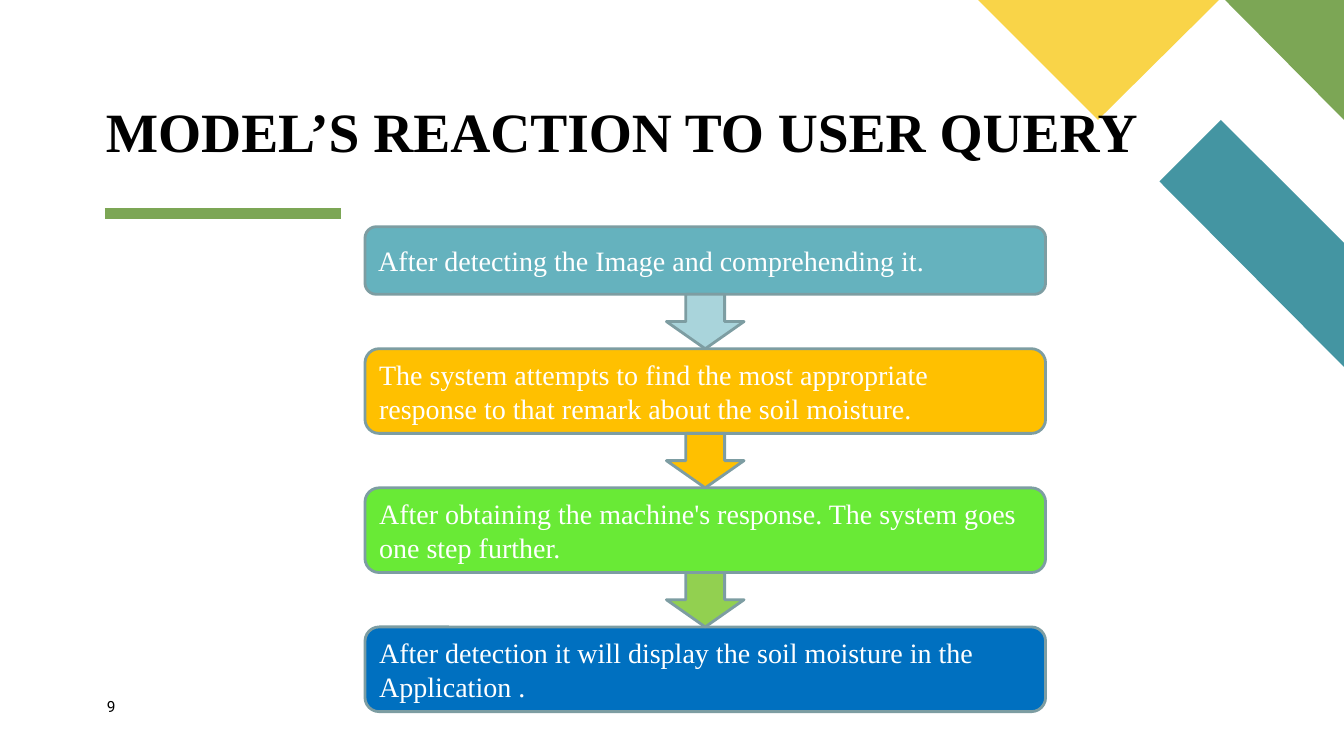
from pptx import Presentation
from pptx.dml.color import RGBColor
from pptx.enum.shapes import MSO_CONNECTOR, MSO_SHAPE
from pptx.enum.text import MSO_ANCHOR, PP_ALIGN
from pptx.util import Inches, Pt
from lxml.etree import SubElement
from pptx.oxml.ns import qn
from dataclasses import dataclass


@dataclass(frozen=True)
class Theme:
    serif: str = "Times New Roman"
    sans: str = "Roboto"
    title: float = 39.6
    body: float = 20
    small: float = 11
    black: str = "000000"
    white: str = "FFFFFF"
    green: str = "7CA655"
    teal: str = "4495A2"
    yellow: str = "F9D448"
    edge: str = "7D9DA2"


THEME = Theme()

# Text, box height, box fill, fill of the arrow below
STEPS = [
    ("After detecting the Image and comprehending it.", 0.67, "65B2BE", "A9D4DB"),
    ("The system attempts to find the most appropriate response to that "
     "remark about the soil moisture.", 0.84, "FFC000", "FFC000"),
    ("After obtaining the machine's response. The system goes one step further.",
     0.84, "69EA36", "92D050"),
    ("After detection it will display the soil moisture in the Application .",
     0.84, "0070C0", None),
]


def color(code):
    return RGBColor.from_string(code)


def paint(shape, fill, edge=None):
    shape.shadow.inherit = False
    shape.fill.solid()
    shape.fill.fore_color.rgb = color(fill)
    if edge:
        shape.line.color.rgb = color(edge)
        shape.line.width = Pt(2)
    else:
        shape.line.fill.background()


def write(frame, text, font, tint, **frame_format):
    for name, value in {"word_wrap": True, **frame_format}.items():
        setattr(frame, name, value)
    para = frame.paragraphs[0]
    para.alignment = PP_ALIGN.LEFT
    run = para.add_run()
    run.text = text
    for name, value in font.items():
        setattr(run.font, name, value)
    run.font.color.rgb = color(tint)
    return para


def add_label(slide, box, text, font, anchor):
    frame = slide.shapes.add_textbox(*map(Inches, box)).text_frame
    sides = ("left", "top", "right", "bottom")
    flat = {f"margin_{side}": 0 for side in sides}
    return write(frame, text, font, THEME.black, vertical_anchor=anchor, **flat)


def add_corner(slide, right):
    """Colored cut-outs in the top corner, measured back from the right edge."""
    cuts = [
        (THEME.teal, [(0, 3.64), (0, 2.41), (1.22, 1.19), (1.83, 1.8)]),
        (THEME.green, [(0, 1.19), (0, 0), (1.18, 0)]),
        (THEME.yellow, [(3.63, 0), (2.44, 1.19), (1.24, 0)]),
    ]
    for fill, points in cuts:
        spots = [(Inches(right - x), Inches(y)) for x, y in points]
        pen = slide.shapes.build_freeform(*spots[0])
        pen.add_line_segments(spots[1:], close=True)
        paint(pen.convert_to_shape(), fill)


def add_head(slide, left, top, width):
    """Title with the short rule under it."""
    y = Inches(top + 1.16)
    rule = slide.shapes.add_connector(
        MSO_CONNECTOR.STRAIGHT, Inches(left), y, Inches(left + 2.34), y)
    rule.line.color.rgb = color(THEME.green)
    rule.line.width = Pt(8)
    SubElement(rule._element.spPr, qn("a:effectLst"))
    font = {"name": THEME.serif, "size": Pt(THEME.title), "bold": True}
    para = add_label(slide, (left + 0.01, top, width, 0.67),
                     "MODEL’S REACTION TO USER QUERY", font, MSO_ANCHOR.BOTTOM)
    para.line_spacing = 0.9


def add_flow(slide, left, top, width, gap=0.54):
    """Stacked steps, joined by arrows centered in the gaps."""
    font = {"name": THEME.serif, "size": Pt(THEME.body)}
    arrows = []
    for text, height, fill, tip in STEPS:
        step = slide.shapes.add_shape(
            MSO_SHAPE.ROUNDED_RECTANGLE,
            *map(Inches, (left, top, width, height)))
        paint(step, fill, THEME.edge)
        write(step.text_frame, text, font, THEME.white,
              vertical_anchor=MSO_ANCHOR.MIDDLE)
        top += height
        if tip:
            arrows.append((top, tip))
        top += gap
    wide = 0.77
    for y, fill in arrows:
        arrow = slide.shapes.add_shape(
            MSO_SHAPE.DOWN_ARROW,
            *map(Inches, (left + (width - wide) / 2, y, wide, gap)))
        paint(arrow, fill, THEME.edge)


def main():
    deck = Presentation()
    deck.slide_width, deck.slide_height = Inches(13.33), Inches(7.5)
    slide = deck.slides.add_slide(deck.slide_layouts[6])
    add_corner(slide, 13.33)
    add_head(slide, 1.04, 0.96, 10.39)
    # Page number
    add_label(slide, (1.06, 6.92, 0.57, 0.27), "9",
              {"name": THEME.sans, "size": Pt(THEME.small)}, MSO_ANCHOR.TOP)
    add_flow(slide, 3.62, 2.25, 6.75)
    deck.save("out.pptx")


if __name__ == "__main__":
    main()
